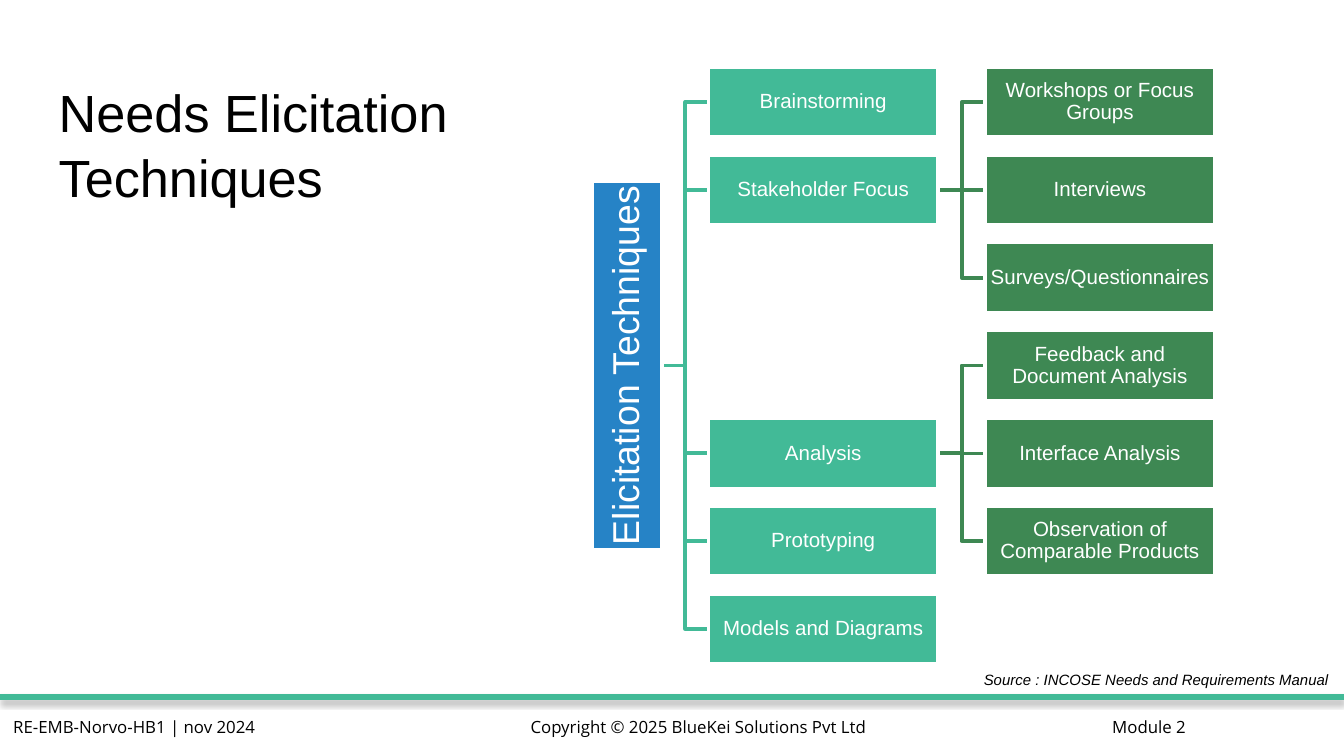
from typing import NamedTuple

from lxml.etree import SubElement
from pptx import Presentation
from pptx.dml.color import RGBColor
from pptx.enum.shapes import MSO_CONNECTOR, MSO_SHAPE
from pptx.enum.text import MSO_ANCHOR as Anchor, PP_ALIGN as Align
from pptx.oxml.ns import qn
from pptx.util import Cm, Pt

COLORS = {"root": "2683C6", "technique": "42BA97", "method": "3E8853",
          "white": "FFFFFF", "black": "000000"}

# Tree geometry, in centimetres
FIRST_ROW, ROW_PITCH = 1.93, 1.66
BOX_WIDTH, BOX_HEIGHT = 4.34, 1.33
ROOT_LENGTH, ROOT_CENTER, ROOT_ROW = 6.98, 11.85, 3
TECHNIQUE_LEFT, METHOD_LEFT = 13.39, 18.62
ROOT_RIGHT = ROOT_CENTER + BOX_HEIGHT / 2


class Node(NamedTuple):
    text: str
    row: int
    methods: tuple = ()


class Label(NamedTuple):
    text: str
    left: float
    top: float
    width: float
    height: float
    size: float
    font: str = "Open Sans"
    align: Align = Align.LEFT
    anchor: Anchor = Anchor.MIDDLE
    inset: float = 0.25
    wrap: bool = True
    italic: bool = False
    spacing: float = 1.0


TECHNIQUES = (
    Node("Brainstorming", 0),
    Node("Stakeholder Focus", 1, (
        Node("Workshops or Focus Groups", 0),
        Node("Interviews", 1),
        Node("Surveys/Questionnaires", 2),
    )),
    Node("Analysis", 4, (
        Node("Feedback and Document Analysis", 3),
        Node("Interface Analysis", 4),
        Node("Observation of Comparable Products", 5),
    )),
    Node("Prototyping", 5),
    Node("Models and Diagrams", 6),
)

FOOTER_TOP, FOOTER_HEIGHT = 13.23, 1.02
LABELS = (
    Label("Copyright © 2025 BlueKei Solutions Pvt Ltd", 9.7, FOOTER_TOP, 6.91,
          FOOTER_HEIGHT, 9, align=Align.RIGHT),
    Label("RE-EMB-Norvo-HB1 | nov 2024", 0, FOOTER_TOP, 6.02, FOOTER_HEIGHT, 9),
    Label("Module 2", 16.64, FOOTER_TOP, 6.02, FOOTER_HEIGHT, 9, align=Align.RIGHT),
    Label("Needs Elicitation\vTechniques", 0.86, 1.24, 23.67, 1.6, 28, "Arial",
          anchor=Anchor.TOP, spacing=1.03),
    Label("Source : INCOSE Needs and Requirements Manual", 18.26, 12.55, 7.11, 0.61, 8,
          "Arial", Align.RIGHT, Anchor.TOP, inset=0.13, wrap=False, italic=True),
)


def rgb(name: str) -> RGBColor:
    return RGBColor.from_string(COLORS[name])


def set_all(target, values: dict) -> None:
    for name, value in values.items():
        setattr(target, name, value)


def row_center(row: int) -> float:
    return FIRST_ROW + row * ROW_PITCH


def style_line(line, color: str, width: float) -> None:
    line.color.rgb = rgb(color)
    line.width = Pt(width)


def write_text(shape, text: str, frame_format: dict, para_format: dict,
               font_format: dict, color: str) -> None:
    frame = shape.text_frame
    set_all(frame, frame_format)
    para = frame.paragraphs[0]
    para.text = text
    set_all(para, para_format)
    set_all(para.font, font_format)
    para.font.color.rgb = rgb(color)


def add_label(slide, label: Label) -> None:
    box = slide.shapes.add_textbox(
        Cm(label.left), Cm(label.top), Cm(label.width), Cm(label.height))
    side = Cm(0.25)
    edge = Cm(label.inset)
    write_text(
        box, label.text,
        {"word_wrap": label.wrap, "vertical_anchor": label.anchor,
         "margin_left": side, "margin_right": side,
         "margin_top": edge, "margin_bottom": edge},
        {"alignment": label.align, "line_spacing": label.spacing},
        {"name": label.font, "size": Pt(label.size), "italic": label.italic},
        "black")


def add_box(slide, text: str, left: float, row: int, color: str,
            width: float = BOX_WIDTH, size: float = 11, rotation: float = 0) -> None:
    box = slide.shapes.add_shape(
        MSO_SHAPE.RECTANGLE, Cm(left), Cm(row_center(row) - BOX_HEIGHT / 2),
        Cm(width), Cm(BOX_HEIGHT))
    box.rotation = rotation
    box.shadow.inherit = False
    box.fill.solid()
    box.fill.fore_color.rgb = rgb(color)
    style_line(box.line, "white", 2)
    margins = {f"margin_{side}": Cm(0.02) for side in ("left", "right", "top", "bottom")}
    write_text(
        box, text,
        {"word_wrap": True, "vertical_anchor": Anchor.MIDDLE, **margins},
        {"alignment": Align.CENTER, "line_spacing": 0.9},
        {"name": "Arial", "size": Pt(size)}, "white")


def add_straight(slide, left: float, right: float, y: float, color: str, width: float):
    """Draw a horizontal line and return its empty effect list."""
    line = slide.shapes.add_connector(
        MSO_CONNECTOR.STRAIGHT, Cm(left), Cm(y), Cm(right), Cm(y))
    style_line(line.line, color, width)
    return SubElement(line._element.spPr, qn("a:effectLst"))


def add_branch(slide, left: float, from_row: int, right: float, to_row: int,
               color: str) -> None:
    start, end = row_center(from_row), row_center(to_row)
    if from_row == to_row:
        add_straight(slide, left, right, start, color, 2)
        return
    middle = (left + right) / 2
    builder = slide.shapes.build_freeform(Cm(left), Cm(start))
    corners = ((middle, start), (middle, end), (right, end))
    builder.add_line_segments([(Cm(x), Cm(y)) for x, y in corners], close=False)
    branch = builder.convert_to_shape()
    branch.shadow.inherit = False
    branch.fill.background()
    style_line(branch.line, color, 2)


def add_footer_rule(slide) -> None:
    effects = add_straight(slide, 0, 25.4, 13.18, "technique", 3)
    shadow = SubElement(effects, qn("a:outerShdw"), blurRad=str(Pt(3.1)),
                        dist=str(Pt(1.8)), dir="5400000", rotWithShape="0")
    tint = SubElement(shadow, qn("a:srgbClr"), val=COLORS["black"])
    SubElement(tint, qn("a:alpha"), val="35000")


def add_tree(slide) -> None:
    technique_right = TECHNIQUE_LEFT + BOX_WIDTH
    for technique in TECHNIQUES:
        add_branch(slide, ROOT_RIGHT, ROOT_ROW, TECHNIQUE_LEFT, technique.row, "technique")
        for method in technique.methods:
            add_branch(slide, technique_right, technique.row, METHOD_LEFT, method.row,
                       "method")
    add_box(slide, "Elicitation Techniques", ROOT_CENTER - ROOT_LENGTH / 2, ROOT_ROW,
            "root", ROOT_LENGTH, size=20, rotation=270)
    for technique in TECHNIQUES:
        add_box(slide, technique.text, TECHNIQUE_LEFT, technique.row, "technique")
        for method in technique.methods:
            add_box(slide, method.text, METHOD_LEFT, method.row, "method")


def main() -> None:
    deck = Presentation()
    set_all(deck, {"slide_width": Cm(25.4), "slide_height": Cm(14.29)})
    slide = deck.slides.add_slide(deck.slide_layouts[6])
    add_footer_rule(slide)
    for label in LABELS:
        add_label(slide, label)
    add_tree(slide)
    deck.save("out.pptx")


if __name__ == "__main__":
    main()
